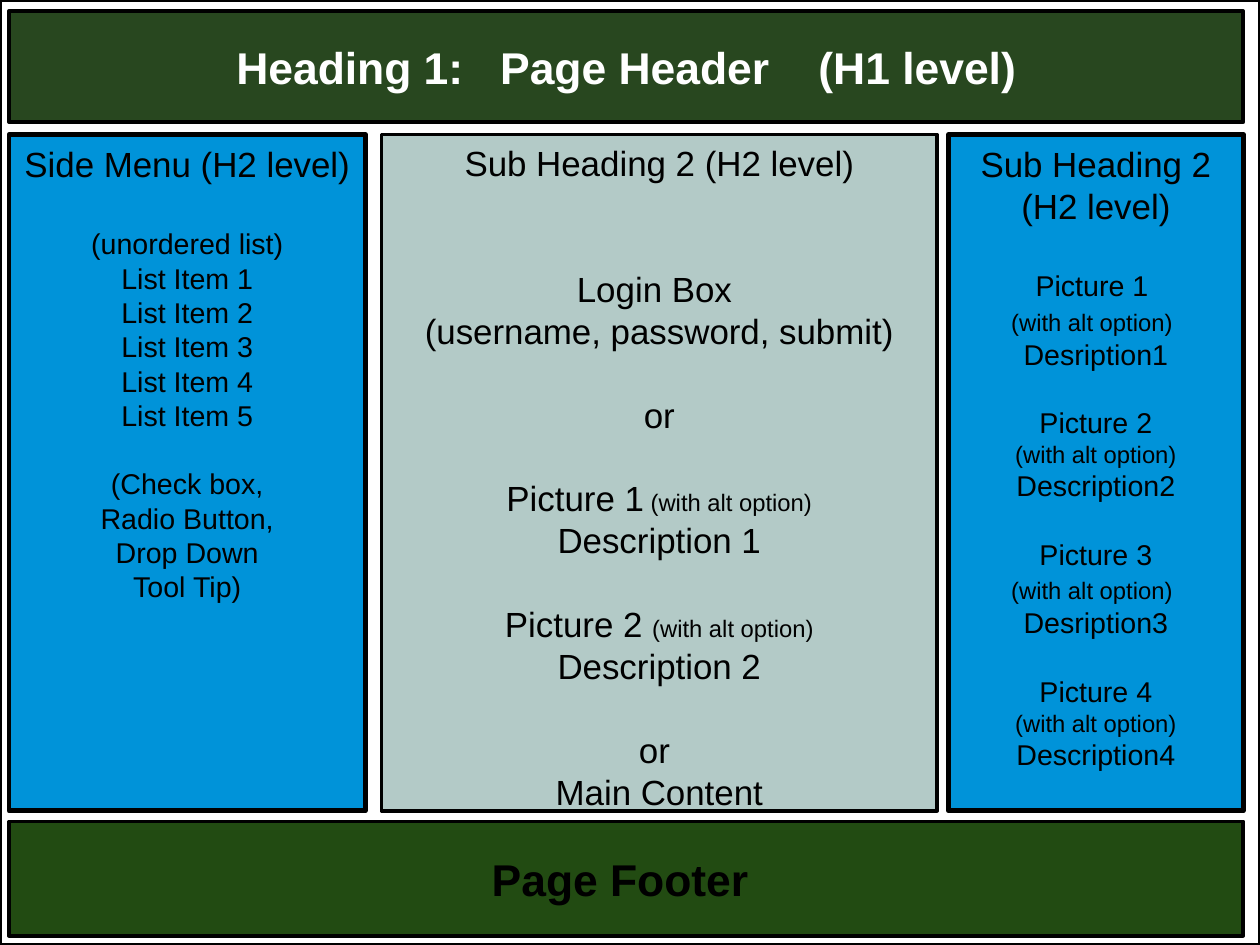
from pptx import Presentation
from pptx.dml.color import RGBColor
from pptx.enum.shapes import MSO_SHAPE
from pptx.enum.text import MSO_ANCHOR, PP_ALIGN
from pptx.util import Pt

RECTANGLE = MSO_SHAPE.RECTANGLE
CENTER = PP_ALIGN.CENTER
TOP, MIDDLE = MSO_ANCHOR.TOP, MSO_ANCHOR.MIDDLE

COLORS = {
    "page": "FFFFFF", "ink": "000000", "header": "28471F",
    "footer": "224B12", "side": "0093D9", "main": "B3CAC7",
}
FONT = "Arial"
TITLE, HEADING, ITEM, NOTE = 28, 22, 18, 15
LINE_HEIGHT = 1.2  # height of a line relative to its font size
ALT = "(with alt option)"

# A line is (space above in points, (text, size), ...).
BLANK_HEADING = HEADING * LINE_HEIGHT
BLANK_ITEM = ITEM * LINE_HEIGHT


def plain_lines(texts, size, space_above=0):
    """Lines of one size, with space above the first only."""
    return [(0 if i else space_above, (text, size)) for i, text in enumerate(texts)]


def picture_lines(number, description, space_above, alt_tail=""):
    """Picture title, alt note and description for the right column."""
    alt_line = [(ALT, NOTE)] + ([(alt_tail, ITEM)] if alt_tail else [])
    return [
        (space_above, (f"Picture {number}", ITEM)),
        (0, *alt_line),
        (0, (description, ITEM)),
    ]


side_menu = (
    plain_lines(["Side Menu (H2 level)"], HEADING)
    + plain_lines(["(unordered list)"] + [f"List Item {n}" for n in range(1, 6)],
                  ITEM, BLANK_HEADING)
    + plain_lines(["(Check box,", "Radio Button,", "Drop Down", "Tool Tip)"],
                  ITEM, BLANK_ITEM)
)
main_content = (
    plain_lines(["Sub Heading 2 (H2 level)"], HEADING)
    + plain_lines(["Login Box ", "(username, password, submit)"],
                  HEADING, 2 * BLANK_HEADING)
    + plain_lines(["or"], HEADING, BLANK_HEADING)
    + [(BLANK_HEADING, ("Picture 1", HEADING), (" " + ALT, NOTE)),
       (0, ("Description 1", HEADING)),
       (BLANK_HEADING, ("Picture 2 ", HEADING), (ALT, NOTE)),
       (0, ("Description 2", HEADING))]
    + plain_lines(["or ", "Main Content"], HEADING, BLANK_HEADING)
)
picture_column = (
    plain_lines(["Sub Heading 2", "(H2 level)"], HEADING)
    + picture_lines("1 ", "Desription1", BLANK_HEADING, " ")
    + picture_lines("2", "Description2", BLANK_ITEM)
    + picture_lines("3", "Desription3", BLANK_ITEM, " ")
    + picture_lines("4", "Description4", BLANK_ITEM)
)
page_header = plain_lines(["Heading 1:   Page Header    (H1 level)"], TITLE)
page_footer = plain_lines(["Page Footer "], TITLE)

# Layout in points
PAGE_W, PAGE_H = 793.7, 595.28
LEFT, FULL_W = 5.7, 777.5
COLUMN_TOP, COLUMN_H = 84.8, 426
THIN, THICK = 2.3, 3
INSETS = {THIN: (8, 4.5), THICK: (8.6, 5)}

bands = [
    (page_header, 7, 70, "header", "page"),
    (page_footer, 517.5, 72, "footer", "ink"),
]
columns = [
    (side_menu, LEFT, 224.5, "side", THICK),
    (main_content, 240.3, 350, "main", THIN),
    (picture_column, 597.4, 185.8, "side", THICK),
]


def color(key):
    return RGBColor.from_string(COLORS[key])


def add_box(slide, left, top, width, height, fill, border=THIN):
    box = slide.shapes.add_shape(RECTANGLE, Pt(left), Pt(top), Pt(width), Pt(height))
    box.shadow.inherit = False
    box.fill.solid()
    box.fill.fore_color.rgb = color(fill)
    box.line.color.rgb = color("ink")
    box.line.width = Pt(border)
    return box


def write_lines(box, lines, text_color, anchor, border=THIN, bold=False):
    frame = box.text_frame
    frame.word_wrap = True
    frame.vertical_anchor = anchor
    side_inset, top_inset = INSETS[border]
    frame.margin_left = frame.margin_right = Pt(side_inset)
    frame.margin_top = frame.margin_bottom = Pt(top_inset)
    for i, (space_above, *runs) in enumerate(lines):
        paragraph = frame.add_paragraph() if i else frame.paragraphs[0]
        paragraph.alignment = CENTER
        paragraph.space_before = Pt(space_above)
        font = paragraph.font
        font.name, font.bold, font.size = FONT, bold, Pt(runs[0][1])
        font.color.rgb = color(text_color)
        for text, size in runs:
            run = paragraph.add_run()
            run.text = text
            if size != runs[0][1]:
                run.font.size = Pt(size)


def main():
    deck = Presentation()
    deck.slide_width, deck.slide_height = Pt(PAGE_W), Pt(PAGE_H)
    slide = deck.slides.add_slide(deck.slide_layouts[6])

    add_box(slide, 0, 0, PAGE_W, PAGE_H, "page")
    for lines, top, height, fill, text_color in bands:
        band = add_box(slide, LEFT, top, FULL_W, height, fill)
        write_lines(band, lines, text_color, MIDDLE, bold=True)
    for lines, left, width, fill, border in columns:
        column = add_box(slide, left, COLUMN_TOP, width, COLUMN_H, fill, border)
        write_lines(column, lines, "ink", TOP, border)

    deck.save("out.pptx")


if __name__ == "__main__":
    main()
